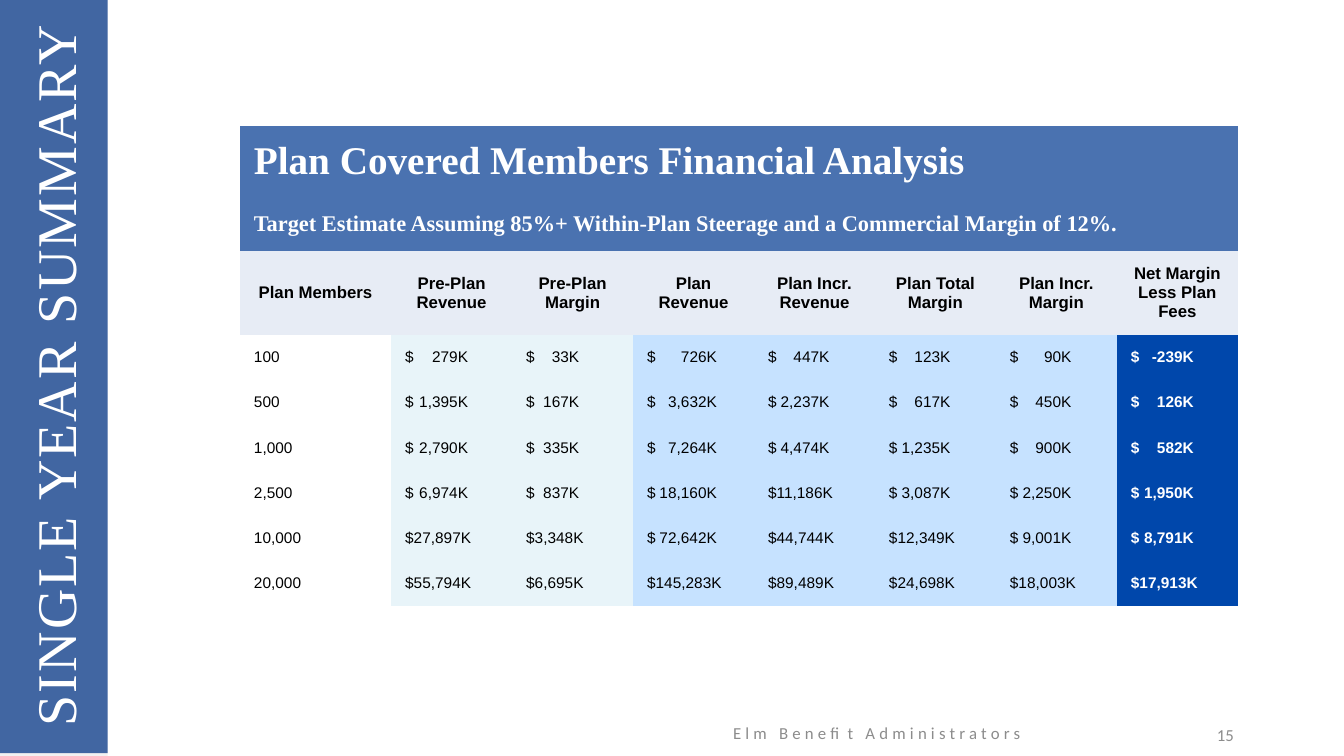
from lxml.etree import SubElement as Sub
from pptx import Presentation
from pptx.dml.color import RGBColor
from pptx.enum.shapes import MSO_SHAPE as Shape
from pptx.enum.text import MSO_ANCHOR as Anchor, MSO_AUTO_SIZE as Size, PP_ALIGN as Align
from pptx.oxml.ns import qn
from pptx.util import Pt

WHITE = RGBColor(0xFF, 0xFF, 0xFF)
BLACK = RGBColor(0, 0, 0)
GRAY = RGBColor(0x8C, 0x8C, 0x8C)
PALE = RGBColor(0xF2, 0xF2, 0xF2)
NAVY = RGBColor(0x25, 0x4F, 0x96)
BAND = RGBColor(0x4A, 0x72, 0xB0)
HEAD = RGBColor(0xE7, 0xEC, 0xF5)
ICE = RGBColor(0xE8, 0xF4, 0xF9)
SKY = RGBColor(0xC6, 0xE2, 0xFF)
COBALT = RGBColor(0x00, 0x47, 0xAB)

SERIF = "Times New Roman"
PLAIN = "{2D5ABB26-0587-4C30-8999-92F81FD0307C}"  # table style without grid

BANNERS = [
    ("Plan Covered Members Financial Analysis", 28),
    ("Target Estimate Assuming 85%+ Within-Plan Steerage "
     "and a Commercial Margin of 12%.", 16),
]
# heading, fill, right tab stop in points, values
COLUMNS = [
    ("Plan Members", None, None,
     ["100", "500", "1,000", "2,500", "10,000", "20,000"]),
    ("Pre-Plan Revenue", ICE, 45,
     ["279K", "1,395K", "2,790K", "6,974K", "27,897K", "55,794K"]),
    ("Pre-Plan Margin", ICE, 38,
     ["33K", "167K", "335K", "837K", "3,348K", "6,695K"]),
    ("Plan Revenue", SKY, 50,
     ["726K", "3,632K", "7,264K", "18,160K", "72,642K", "145,283K"]),
    ("Plan Incr. Revenue", SKY, 44,
     ["447K", "2,237K", "4,474K", "11,186K", "44,744K", "89,489K"]),
    ("Plan Total Margin", SKY, 44,
     ["123K", "617K", "1,235K", "3,087K", "12,349K", "24,698K"]),
    ("Plan Incr. Margin", SKY, 44,
     ["90K", "450K", "900K", "2,250K", "9,001K", "18,003K"]),
    ("Net Margin Less Plan Fees", COBALT, 45,
     ["-239K", "126K", "582K", "1,950K", "8,791K", "17,913K"]),
]
HEIGHTS = [51, 38.25, 60] + [32.25] * 6


def style(para, size, face, color, bold=False, align=Align.LEFT, gap=0):
    para.alignment = align
    for run in para.runs:
        font = run.font
        font.size, font.name, font.bold = Pt(size), face, bold
        font.color.rgb = color
        if gap:
            run._r.get_or_add_rPr().set("spc", str(int(gap * 100)))


def add_bar(slide, top, color, alpha=None):
    bar = slide.shapes.add_shape(Shape.RECTANGLE, 0, Pt(top), Pt(77), Pt(540))
    bar.shadow.inherit = False
    bar.fill.solid()
    bar.fill.fore_color.rgb = color
    bar.line.fill.background()
    if alpha:
        tint = bar.element.spPr.find(qn("a:solidFill"))[0]
        Sub(tint, qn("a:alpha"), val=str(alpha * 1000))


def add_note(slide, text, left, top, width, align, gap=0):
    box = slide.shapes.add_textbox(Pt(left), Pt(top), Pt(width), Pt(28.8))
    frame = box.text_frame
    frame.word_wrap = True
    frame.vertical_anchor = Anchor.MIDDLE
    frame.text = text
    style(frame.paragraphs[0], 12, "Calibri", GRAY, align=align, gap=gap)


def set_title(slide, text):
    title = slide.shapes.title
    title.left, title.top = Pt(-230.4), Pt(239)
    title.width, title.height = Pt(537.8), Pt(59)
    title.rotation = 270
    frame = title.text_frame
    frame.auto_size = Size.NONE
    frame.vertical_anchor = Anchor.MIDDLE
    frame.text = text
    style(frame.paragraphs[0], 40, SERIF, WHITE, align=Align.CENTER, gap=1.5)
    slide.shapes._spTree.append(title.element)  # bring to front


def set_cell(cell, text, fill, size, color, face="Arial", bold=False,
             align=Align.LEFT, stop=None):
    cell.margin_left = cell.margin_right = Pt(10)
    cell.margin_top = cell.margin_bottom = 0
    cell.vertical_anchor = Anchor.MIDDLE
    if fill is None:
        cell.fill.background()
    else:
        cell.fill.solid()
        cell.fill.fore_color.rgb = fill
    para = cell.text_frame.paragraphs[0]
    para.text = text
    if stop:
        tabs = Sub(para._p.get_or_add_pPr(), qn("a:tabLst"))
        Sub(tabs, qn("a:tab"), pos=str(Pt(stop)), algn="r")
    style(para, size, face, color, bold, align)


def money(value, widest):
    """Put the dollar sign at the left, with a tab before shorter values."""
    return "$" + ("\t" if len(value) < widest else "") + value


def add_grid(slide):
    count = len(COLUMNS)
    grid = slide.shapes.add_table(len(HEIGHTS), count, Pt(171.4), Pt(90),
                                  Pt(712.8), Pt(sum(HEIGHTS))).table
    grid.first_row = grid.horz_banding = False
    grid._tbl.tblPr.find(qn("a:tableStyleId")).text = PLAIN
    for row, height in zip(grid.rows, HEIGHTS):
        row.height = Pt(height)

    for row, (text, size) in enumerate(BANNERS):
        cell = grid.cell(row, 0)
        cell.merge(grid.cell(row, count - 1))
        set_cell(cell, text, BAND, size, WHITE, SERIF, bold=True)

    for col, (name, fill, stop, values) in enumerate(COLUMNS):
        grid.columns[col].width = Pt(86.4 if col else 108)
        set_cell(grid.cell(2, col), name, HEAD, 12, BLACK, bold=True,
                 align=Align.CENTER)
        net = fill == COBALT
        widest = max(map(len, values))
        for row, value in enumerate(values, 3):
            text = money(value, widest) if stop else value
            set_cell(grid.cell(row, col), text, fill, 11,
                     WHITE if net else BLACK, bold=net,
                     stop=stop if "\t" in text else None)


def main():
    deck = Presentation()
    deck.slide_width, deck.slide_height = Pt(960), Pt(540)
    slide = deck.slides.add_slide(deck.slide_layouts[5])
    add_bar(slide, 0, PALE)
    add_note(slide, "Elm Benefit Administrators", 464.4, 509, 324,
             Align.CENTER, gap=3)
    add_note(slide, "15", 672.5, 510.5, 216, Align.RIGHT)
    add_bar(slide, -2, NAVY, alpha=86)
    set_title(slide, "SINGLE YEAR SUMMARY")
    add_grid(slide)
    deck.save("out.pptx")


if __name__ == "__main__":
    main()
